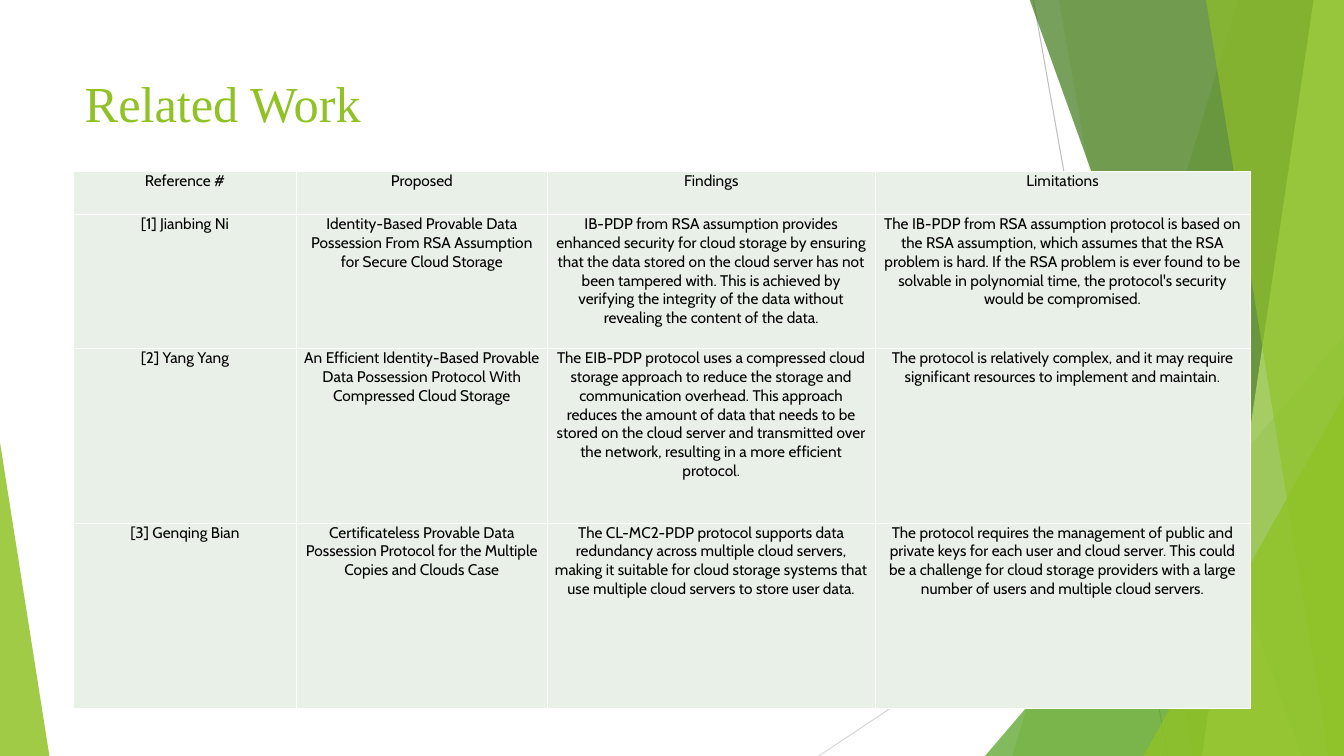
from dataclasses import dataclass

from lxml import etree
from pptx import Presentation
from pptx import util as u
from pptx.dml.color import RGBColor
from pptx.enum import shapes, text
from pptx.oxml import ns

PX = 9144  # 100 px to the inch
WIDTH, HEIGHT = 1333, 750

LIME = RGBColor(0x90, 0xC2, 0x26)
GREEN = RGBColor(0x54, 0xA0, 0x21)
FOREST = RGBColor(0x3F, 0x78, 0x19)
PALE_LIME = RGBColor(0xC0, 0xE4, 0x74)
GRAY = RGBColor(0xBF, 0xBF, 0xBF)
LIGHT_GRAY = RGBColor(0xD9, 0xD9, 0xD9)
CELL_TINT = RGBColor(0xE9, 0xF0, 0xE8)
BLACK = RGBColor(0, 0, 0)
WHITE = RGBColor(0xFF, 0xFF, 0xFF)


@dataclass(frozen=True)
class Ray:
    x1: int
    y1: int
    x2: int
    y2: int
    color: RGBColor


@dataclass(frozen=True)
class Panel:
    """A band from its slanted left edge to the right side of the slide."""
    top_x: int
    bottom_x: int
    color: RGBColor
    opacity: int


@dataclass(frozen=True)
class Wedge:
    """A triangle standing on the bottom of the slide, peak 0 left or 1 right."""
    left: int
    top: int
    width: int
    peak: int
    color: RGBColor
    opacity: int


RAYS = [
    Ray(1025, 0, 1158, HEIGHT, GRAY),
    Ray(WIDTH, 403, 812, HEIGHT, LIGHT_GRAY),
]
FACETS = [
    Panel(1228, 1004, LIME, 30),
    Panel(1050, 1183, LIME, 20),
    Wedge(977, 333, 356, 1, GREEN, 72),
    Panel(1021, 1291, FOREST, 70),
    Panel(1303, 1192, PALE_LIME, 70),
    Panel(1196, 1318, LIME, 65),
    Wedge(1134, 393, 199, 1, LIME, 80),
    Wedge(0, 439, 49, 0, LIME, 85),
]

COLUMN_WIDTHS = [221, 249, 325, 372]
ROW_HEIGHTS = [43, 133, 173, 184]
PAPERS = [
    ["Reference #", "Proposed", "Findings", "Limitations"],
    [
        "[1] Jianbing Ni",
        "Identity-Based Provable Data Possession From RSA Assumption for Secure "
        "Cloud Storage",
        "IB-PDP from RSA assumption provides enhanced security for cloud storage by "
        "ensuring that the data stored on the cloud server has not been tampered "
        "with. This is achieved by verifying the integrity of the data without "
        "revealing the content of the data.",
        "The IB-PDP from RSA assumption protocol is based on the RSA assumption, "
        "which assumes that the RSA problem is hard. If the RSA problem is ever "
        "found to be solvable in polynomial time, the protocol's security would be "
        "compromised.",
    ],
    [
        "[2] Yang Yang",
        "An Efficient Identity-Based Provable Data Possession Protocol With "
        "Compressed Cloud Storage",
        "The EIB-PDP protocol uses a compressed cloud storage approach to reduce the "
        "storage and communication overhead. This approach reduces the amount of "
        "data that needs to be stored on the cloud server and transmitted over the "
        "network, resulting in a more efficient protocol.",
        "The protocol is relatively complex, and it may require significant "
        "resources to implement and maintain.",
    ],
    [
        "[3] Genqing Bian",
        "Certificateless Provable Data Possession Protocol for the Multiple Copies "
        "and Clouds Case",
        "The CL-MC2-PDP protocol supports data redundancy across multiple cloud "
        "servers, making it suitable for cloud storage systems that use multiple "
        "cloud servers to store user data.",
        "The protocol requires the management of public and private keys for each "
        "user and cloud server. This could be a challenge for cloud storage "
        "providers with a large number of users and multiple cloud servers.",
    ],
]


def px(*lengths: int) -> list[u.Emu]:
    return [u.Emu(length * PX) for length in lengths]


def set_all(target, values: dict) -> None:
    for name, value in values.items():
        setattr(target, name, value)


def style_font(font, name: str, points: int, color: RGBColor) -> None:
    set_all(font, {"name": name, "size": u.Pt(points), "bold": False})
    font.color.rgb = color


def draw_ray(slide, ray: Ray) -> None:
    line = slide.shapes.add_connector(
        shapes.MSO_CONNECTOR.STRAIGHT, *px(ray.x1, ray.y1, ray.x2, ray.y2))
    line.line.width = u.Pt(0.75)
    line.line.color.rgb = ray.color
    etree.SubElement(line.element.spPr, ns.qn("a:effectLst"))


def draw_facet(slide, facet: Panel | Wedge) -> None:
    if isinstance(facet, Panel):
        outline = slide.shapes.build_freeform(facet.top_x, -1, scale=PX)
        outline.add_line_segments(
            [(WIDTH, -1), (WIDTH, HEIGHT), (facet.bottom_x, HEIGHT)], close=True)
        shape = outline.convert_to_shape()
    else:
        shape = slide.shapes.add_shape(
            shapes.MSO_SHAPE.ISOSCELES_TRIANGLE,
            *px(facet.left, facet.top, facet.width, HEIGHT - facet.top))
        shape.adjustments[0] = facet.peak
    shape.shadow.inherit = False
    shape.line.fill.background()
    shape.fill.solid()
    shape.fill.fore_color.rgb = facet.color
    tint = shape.element.spPr.find(ns.qn("a:solidFill"))[0]
    etree.SubElement(tint, ns.qn("a:alpha"), val=str(facet.opacity * 1000))


def write_title(slide, wording: str) -> None:
    title = slide.shapes.title
    left, top, width, height = px(74, 67, 940, 144)
    set_all(title, {"left": left, "top": top, "width": width, "height": height})
    frame = title.text_frame
    frame.text = wording
    set_all(frame, {"vertical_anchor": text.MSO_ANCHOR.TOP, "word_wrap": True,
                    "auto_size": text.MSO_AUTO_SIZE.NONE})
    heading = frame.paragraphs[0]
    heading.alignment = text.PP_ALIGN.LEFT
    style_font(heading.runs[0].font, "Times New Roman", 36, LIME)


def border_cell(cell) -> None:
    properties = cell._tc.get_or_add_tcPr()
    for position, side in enumerate(("lnL", "lnR", "lnT", "lnB")):
        border = etree.Element(ns.qn(f"a:{side}"), w=str(u.Pt(1)))
        fill = etree.SubElement(border, ns.qn("a:solidFill"))
        etree.SubElement(fill, ns.qn("a:srgbClr"), val=str(WHITE))
        properties.insert(position, border)


def fill_cell(cell, wording: str) -> None:
    side, none = px(7, 0)
    set_all(cell, {"text": wording, "margin_left": side, "margin_right": side,
                   "margin_top": none, "margin_bottom": none})
    cell.fill.solid()
    cell.fill.fore_color.rgb = CELL_TINT
    paragraph = cell.text_frame.paragraphs[0]
    set_all(paragraph, {"alignment": text.PP_ALIGN.CENTER, "space_after": u.Pt(8)})
    style_font(paragraph.runs[0].font, "Cabin", 11, BLACK)
    border_cell(cell)


def draw_papers(slide) -> None:
    table = slide.shapes.add_table(
        len(ROW_HEIGHTS), len(COLUMN_WIDTHS),
        *px(73, 170, sum(COLUMN_WIDTHS), sum(ROW_HEIGHTS))).table
    set_all(table, {"first_row": False, "horz_banding": False})
    for column, width in zip(table.columns, px(*COLUMN_WIDTHS)):
        column.width = width
    for row, height, paper in zip(table.rows, px(*ROW_HEIGHTS), PAPERS):
        row.height = height
        for cell, wording in zip(row.cells, paper):
            fill_cell(cell, wording)


def main() -> None:
    deck = Presentation()
    deck.slide_width, deck.slide_height = px(WIDTH, HEIGHT)
    slide = deck.slides.add_slide(deck.slide_layouts[5])
    for ray in RAYS:
        draw_ray(slide, ray)
    for facet in FACETS:
        draw_facet(slide, facet)
    write_title(slide, "Related Work")
    draw_papers(slide)
    deck.save("out.pptx")


if __name__ == "__main__":
    main()
